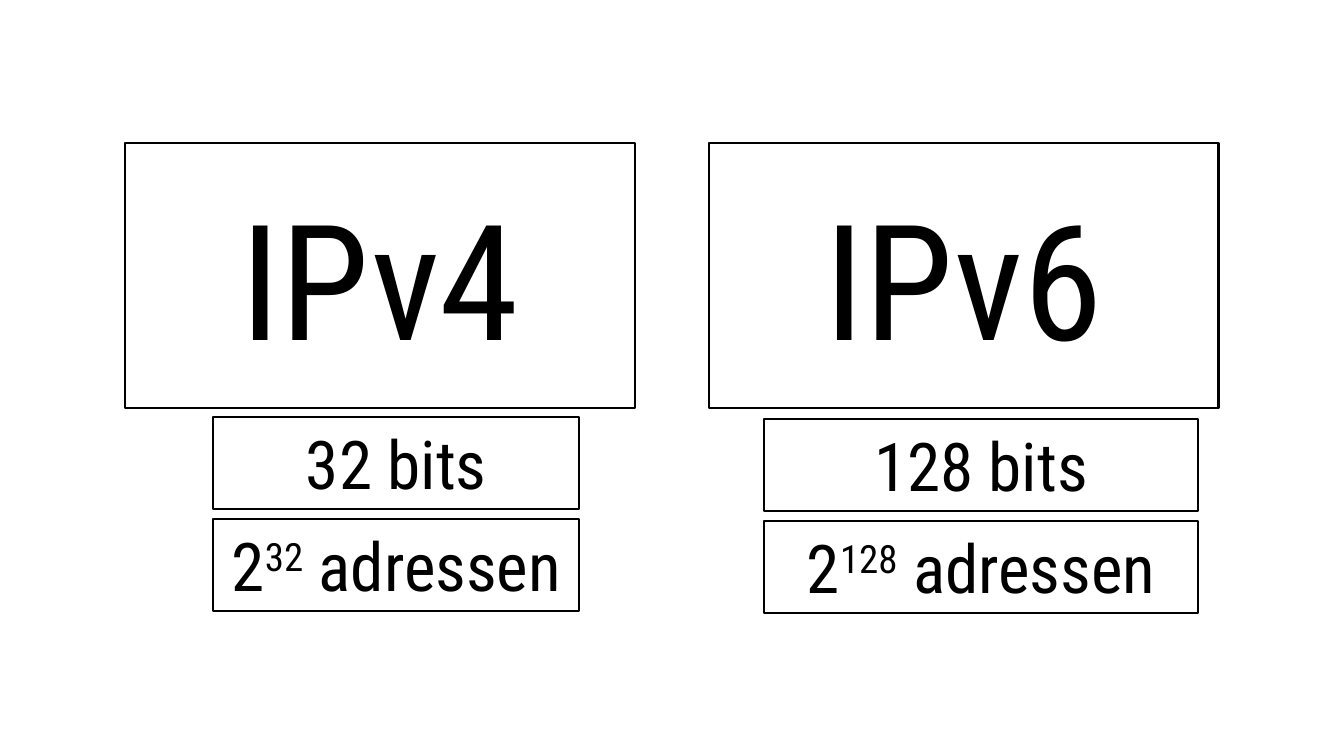
from pptx import Presentation
from pptx.dml.color import RGBColor
from pptx.enum import shapes, text
from pptx.util import Cm, Pt

BLACK = RGBColor(0, 0, 0)
WHITE = RGBColor(255, 255, 255)


class ProtocolSlide:
    """Draws outlined boxes in one style on the current slide."""

    font_name = "Roboto Condensed"
    line_width = Pt(1.5)

    def __init__(self, slide):
        self.slide = slide

    def box(self, left, top, width, height, size):
        shape = self.slide.shapes.add_shape(
            shapes.MSO_SHAPE.RECTANGLE, Cm(left), Cm(top), Cm(width), Cm(height))
        shape.shadow.inherit = False
        shape.fill.solid()
        shape.fill.fore_color.rgb = WHITE
        shape.line.color.rgb = BLACK
        shape.line.width = self.line_width
        shape.text_frame.word_wrap = True
        paragraph = shape.text_frame.paragraphs[0]
        paragraph.alignment = text.PP_ALIGN.CENTER
        paragraph.font.name = self.font_name
        paragraph.font.size = Pt(size)
        paragraph.font.color.rgb = BLACK
        return shape.text_frame, paragraph

    def heading(self, left, name):
        frame, paragraph = self.box(left, 3.61, 12.85, 6.68, size=115)
        frame.vertical_anchor = text.MSO_ANCHOR.MIDDLE
        paragraph.add_run().text = name

    def fact(self, left, top, width, before, exponent="", after=""):
        frame, paragraph = self.box(left, top, width, 2.31, size=48)
        frame.vertical_anchor = text.MSO_ANCHOR.TOP
        frame.auto_size = text.MSO_AUTO_SIZE.SHAPE_TO_FIT_TEXT
        paragraph.add_run().text = before
        if exponent:
            raised = paragraph.add_run()
            raised.text = exponent
            raised._r.get_or_add_rPr().set("baseline", "30000")
            paragraph.add_run().text = after


def main():
    presentation = Presentation()
    presentation.slide_width = Cm(33.87)
    presentation.slide_height = Cm(19.05)
    blank_layout = presentation.slide_layouts[6]
    page = ProtocolSlide(presentation.slides.add_slide(blank_layout))

    # One column per protocol: name, bits, heading left, fact left, top, width
    columns = [
        ("IPv4", "32", 3.15, 5.38, 10.52, 9.22),
        ("IPv6", "128", 17.86, 19.25, 10.57, 10.95),
    ]
    fact_step = 2.57
    for name, bits, heading_left, left, top, width in columns:
        page.heading(heading_left, name)
        page.fact(left, top, width, f"{bits} bits")
        page.fact(left, top + fact_step, width, "2", bits, " adressen")

    presentation.save("out.pptx")


if __name__ == "__main__":
    main()
